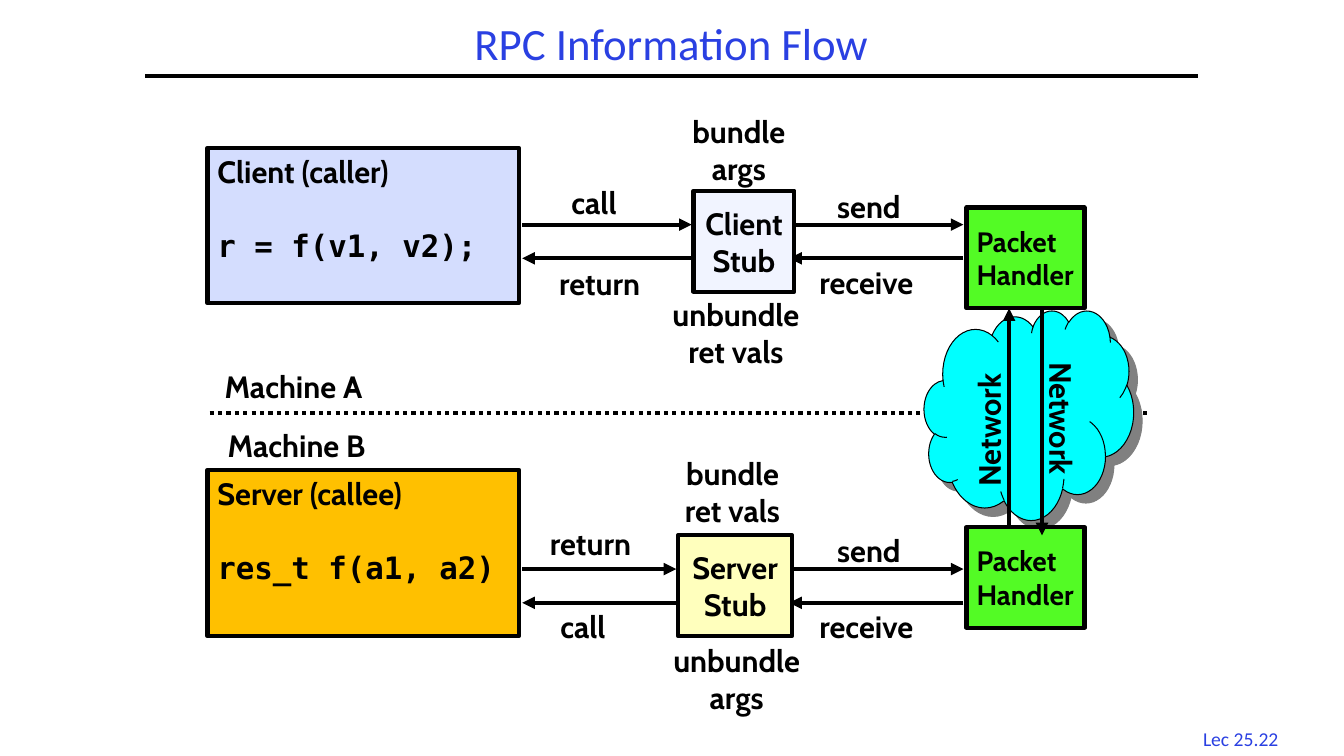
from dataclasses import dataclass

import lxml.etree
import pptx
import pptx.dml.color
import pptx.enum.dml
import pptx.enum.shapes
import pptx.enum.text
import pptx.oxml.ns
import pptx.util

Cm = pptx.util.Cm
Pt = pptx.util.Pt
SHAPES = pptx.enum.shapes.MSO_SHAPE
ALIGN = pptx.enum.text.PP_ALIGN
ANCHOR = pptx.enum.text.MSO_ANCHOR
qn = pptx.oxml.ns.qn


@dataclass(frozen=True)
class Theme:
    ink: str = "000000"
    accent: str = "2A40E2"
    client: str = "D4DDFE"
    client_stub: str = "F1F4FF"
    server: str = "FFC000"
    server_stub: str = "FFFFBD"
    handler: str = "53FB25"
    cloud: str = "00FFFF"
    shadow: str = "808080"
    heading_font: str = "Calibri"
    body_font: str = "Cabin"
    code_font: str = "DejaVu Sans Mono"
    title_size: int = 32
    body_size: int = 22
    handler_size: int = 20
    footer_size: int = 14
    stroke: float = 3


THEME = Theme()


@dataclass(frozen=True)
class Machine:
    """One row of the flow; lengths are cm from the row's corner."""
    heading: str
    code: str
    fill: str
    program: tuple      # top, height
    stub: str
    stub_fill: str
    stub_span: tuple    # left, width
    above: tuple        # text, left, top, width
    below: tuple
    forward: tuple
    back: tuple


CLIENT = Machine(
    "Client (caller)", "r = f(v1, v2);", THEME.client, (1.01, 3.91),
    "Client\nStub", THEME.client_stub, (12.25, 2.54),
    ("bundle\nargs", 11.89, 0, 3), ("unbundle\nret vals", 11.36, 4.6, 3.91),
    ("call", 8.92, 1.78, 1.73), ("return", 8.61, 3.83, 2.87))
SERVER = Machine(
    "Server (callee)", "res_t f(a1, a2)", THEME.server, (0.44, 4.19),
    "Server\nStub", THEME.server_stub, (11.86, 2.87),
    ("bundle\nret vals", 11.64, -0.07, 3.18), ("unbundle\nargs", 11.38, 4.65, 3.91),
    ("return", 8.38, 1.71, 2.87), ("call", 8.64, 3.79, 1.75))


def rgb(value):
    return pptx.dml.color.RGBColor.from_string(value)


def add_span(para, text, font=THEME.body_font, size=THEME.body_size,
             color=THEME.ink, bold=True):
    span = para.add_run()
    span.text = text
    span.font.name, span.font.size, span.font.bold = font, Pt(size), bold
    span.font.color.rgb = rgb(color)


def write(frame, text, align=ALIGN.LEFT, **style):
    for number, line in enumerate(text.split("\n")):
        para = frame.add_paragraph() if number else frame.paragraphs[0]
        para.alignment = align
        add_span(para, line, **style)


def add_label(slide, text, left, top, width, height=1.19, align=ALIGN.LEFT, **style):
    label = slide.shapes.add_textbox(Cm(left), Cm(top), Cm(width), Cm(height))
    label.text_frame.word_wrap = False
    label.text_frame.auto_size = pptx.enum.text.MSO_AUTO_SIZE.SHAPE_TO_FIT_TEXT
    write(label.text_frame, text, align, **style)
    return label


def add_box(slide, left, top, width, height, fill, kind=SHAPES.RECTANGLE,
            stroke=THEME.stroke, anchor=ANCHOR.MIDDLE):
    box = slide.shapes.add_shape(kind, Cm(left), Cm(top), Cm(width), Cm(height))
    box.shadow.inherit = False
    box.fill.solid()
    box.fill.fore_color.rgb = rgb(fill)
    box.line.color.rgb = rgb(THEME.ink)
    box.line.width = Pt(stroke)
    box.text_frame.word_wrap = False
    box.text_frame.vertical_anchor = anchor
    return box


def add_line(slide, start, end, arrow=True, dash=None):
    line = slide.shapes.add_connector(
        pptx.enum.shapes.MSO_CONNECTOR.STRAIGHT,
        Cm(start[0]), Cm(start[1]), Cm(end[0]), Cm(end[1]))
    line.line.color.rgb = rgb(THEME.ink)
    line.line.width = Pt(THEME.stroke)
    if dash:
        line.line.dash_style = dash
    properties = line._element.spPr
    if arrow:
        outline = properties.find(qn("a:ln"))
        lxml.etree.SubElement(outline, qn("a:tailEnd"), type="triangle")
    lxml.etree.SubElement(properties, qn("a:effectLst"))


def add_cloud_shadow(cloud):
    effects = cloud._element.spPr.find(qn("a:effectLst"))
    shadow = lxml.etree.SubElement(
        effects, qn("a:outerShdw"), dist=str(Pt(8.5)), dir=str(45 * 60000),
        algn="ctr", rotWithShape="0")
    lxml.etree.SubElement(shadow, qn("a:srgbClr"), val=THEME.shadow)


def add_frame(slide, left, top, width):
    # Title, rule and lecture number
    title = slide.shapes.title
    title.left, title.top, title.width, title.height = (
        Cm(left), Cm(top), Cm(width), Cm(1.47))
    title.text_frame.vertical_anchor = ANCHOR.MIDDLE
    heading = dict(font=THEME.heading_font, color=THEME.accent, bold=False)
    write(title.text_frame, "RPC Information Flow", ALIGN.CENTER,
          size=THEME.title_size, **heading)
    title.text_frame.paragraphs[0].line_spacing = 0.9
    rule = top + 1.48
    add_line(slide, (left, rule), (left + width, rule), arrow=False)
    add_label(slide, "Lec 25.22", left + 26.24, top + 17.76, 2.74, 0.84,
              ALIGN.CENTER, size=THEME.footer_size, **heading)


def add_machine(slide, left, top, machine):
    def place(label, align=ALIGN.LEFT, height=1.19):
        text, x, y, width = label
        add_label(slide, text, left + x, top + y, width, height, align)

    # Program box
    offset, height = machine.program
    program = add_box(slide, left, top + offset, 7.85, height, machine.fill,
                      anchor=ANCHOR.TOP)
    frame = program.text_frame
    write(frame, machine.heading)
    code = frame.add_paragraph()
    code.alignment = ALIGN.LEFT
    code.space_before = Pt(26.5)
    add_span(code, machine.code, font=THEME.code_font)

    # Calls out on the upper lane, replies on the lower one
    stub_left, stub_width = machine.stub_span
    upper, lower = top + 2.94, top + 3.79
    for start, end, y in ((7.93, stub_left - 0.05, upper), (12.8, 7.93, lower),
                          (14.66, 19.05, upper), (19.05, 14.66, lower)):
        add_line(slide, (left + start, y), (left + end, y))
    for label in (machine.forward, machine.back,
                  ("send", 15.62, 1.88, 2.18), ("receive", 15.17, 3.79, 3.12)):
        place(label)

    # Stub with its tasks above and below
    stub = add_box(slide, left + stub_left, top + 2.09, stub_width, 2.54,
                   machine.stub_fill)
    write(stub.text_frame, machine.stub, ALIGN.CENTER)
    for label in (machine.above, machine.below):
        place(label, ALIGN.CENTER, 2.13)


def add_border(slide, left, top):
    # Dotted border between the two machines
    add_line(slide, (left, top), (left + 23.73, top), arrow=False,
             dash=pptx.enum.dml.MSO_LINE.ROUND_DOT)
    add_label(slide, "Machine A", left + 0.13, top - 1.27, 4.32)
    add_label(slide, "Machine B", left + 0.21, top + 0.21, 4.34)


def add_network(slide, left, top):
    # Cloud between the two packet handlers
    cloud = add_box(slide, left, top + 2.59, 5.28, 5.28, THEME.cloud,
                    SHAPES.CLOUD, stroke=0.75)
    add_cloud_shadow(cloud)
    for offset in (0, 8.05):
        handler = add_box(slide, left + 1.07, top + offset, 2.97, 2.54, THEME.handler)
        write(handler.text_frame, "Packet\nHandler", size=THEME.handler_size)

    # One link each way
    for x, start, end, text_x, text_y, turn in (
            (2.97, 2.54, 8.26, 1.58, 4.93, 90), (2.14, 8.05, 2.54, -0.25, 4.8, 270)):
        label = add_label(slide, "Network", left + text_x, top + text_y, 3.76)
        label.rotation = turn
        add_line(slide, (left + x, top + start), (left + x, top + end))


def main():
    deck = pptx.Presentation()
    deck.slide_width, deck.slide_height = Cm(33.87), Cm(19.05)
    slide = deck.slides.add_slide(deck.slide_layouts.get_by_name("Title Only"))
    add_frame(slide, 3.66, 0.43, 26.52)
    add_border(slide, 5.28, 10.41)
    add_machine(slide, 5.23, 2.72, CLIENT)
    add_machine(slide, 5.23, 11.4, SERVER)
    add_network(slide, 23.29, 5.23)
    deck.save("out.pptx")


if __name__ == "__main__":
    main()
